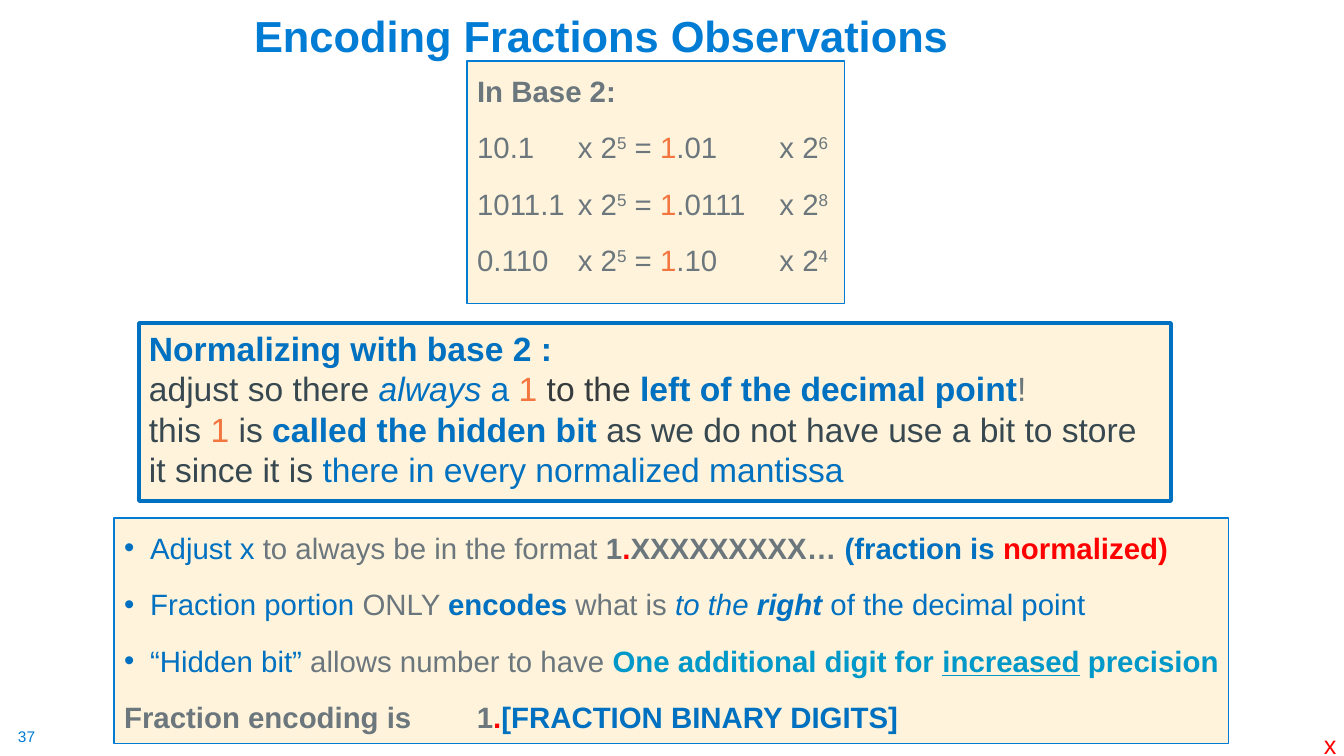
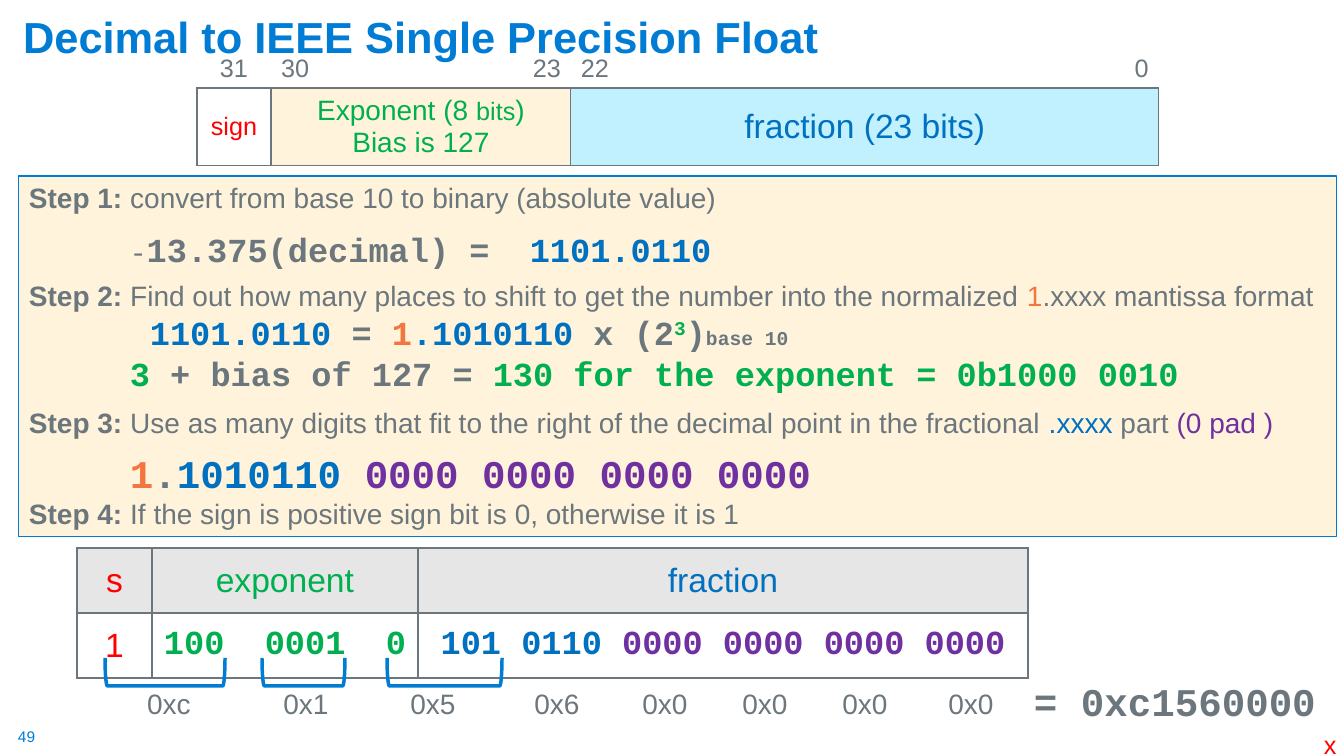
from lxml.etree import SubElement
from pptx import Presentation
from pptx.dml.color import RGBColor
from pptx.enum.shapes import MSO_SHAPE as SHAPE
from pptx.enum.text import MSO_ANCHOR as ANCHOR, MSO_AUTO_SIZE as AUTO, PP_ALIGN as ALIGN
from pptx.oxml import parse_xml
from pptx.oxml.ns import nsdecls, qn
from pptx.util import Emu, Pt

PX = 914400 / 100.8
COLORS = {
    "brand": "007CD5", "blue": "0070C0", "teal": "0098C9", "grey": "6B767D",
    "slate": "384851", "ink": "363B3E", "orange": "F3753F", "red": "FF0000",
    "green": "00B050", "purple": "7030A0",
    "cream": "FFF4DB", "silver": "E7E6E6", "sky": "C1F0FF",
}
RGB = {name: RGBColor.from_string(value) for name, value in COLORS.items()}


def px(*lengths):
    return [Emu(round(length * PX)) for length in lengths]


def write(frame, spans, size, align=ALIGN.LEFT, spacing=1.0, before=0,
          left=0, hang=0, tabs=()):
    """Add one paragraph; a span is (text, look, own size), and a look lists
    a colour and any of b, i, u, sup and mono. A hang gives a bullet."""
    para = frame.add_paragraph() if frame.text else frame.paragraphs[0]
    para.alignment = align
    para.line_spacing = spacing
    para.space_before = Pt(before)
    props = para._p.get_or_add_pPr()
    margin, indent = px(left, -hang)
    props.set("marL", str(margin))
    props.set("indent", str(indent))
    if hang:
        SubElement(props, qn("a:buFont"), typeface="Arial")
        SubElement(props, qn("a:buChar"), char="•")
    else:
        SubElement(props, qn("a:buNone"))
    if tabs:
        stops = SubElement(props, qn("a:tabLst"))
        for stop in px(*tabs):
            SubElement(stops, qn("a:tab"), pos=str(stop), algn="l")
    for text, look, *own_size in spans:
        color, *marks = look.split()
        span = para.add_run()
        span.text = text
        font = span.font
        font.name = "Courier New" if "mono" in marks else "Arial"
        font.size = Pt(own_size[0] if own_size else size)
        font.color.rgb = RGB[color]
        font.bold = "b" in marks
        font.italic = "i" in marks
        font.underline = "u" in marks
        if "sup" in marks:
            span._r.get_or_add_rPr().set("baseline", "30000")


def label(page, left, top, width, height, text, look, size, align=ALIGN.LEFT):
    frame = page.shapes.add_textbox(*px(left, top, width, height)).text_frame
    frame.word_wrap = True
    frame.margin_left = frame.margin_right = frame.margin_top = frame.margin_bottom = 0
    write(frame, [(text, look)], size, align)


deck = Presentation()
deck.slide_width, deck.slide_height = px(1344, 756)
observations = deck.slides.add_slide(deck.slide_layouts.get_by_name("Two Content"))
conversion = deck.slides.add_slide(deck.slide_layouts.get_by_name("Title Only"))

# Title, page number and corner mark
for page, title, number, area in (
    (observations, "Encoding Fractions Observations", "37", (244, 9, 731, 58)),
    (conversion, "Decimal to IEEE Single Precision Float", "49", (13, 18, 1141, 50)),
):
    box = page.shapes.title
    box.left, box.top, box.width, box.height = px(*area)
    box.text_frame.vertical_anchor = ANCHOR.BOTTOM
    box.text_frame.auto_size = AUTO.NONE
    write(box.text_frame, [(title, "brand b")], 31, spacing=0.9)
    label(page, 18, 727, 40, 19, number, "brand", 11)
    label(page, 1324, 729, 20, 27, "x", "red", 18)

# Cream panels
base_two, rules = list(observations.placeholders)[1:]
normalizing = observations.shapes.add_shape(SHAPE.RECTANGLE, *px(139, 323, 1032, 178))
steps = conversion.shapes.add_shape(SHAPE.RECTANGLE, *px(19, 176, 1318, 361))
base_two.left, base_two.top, base_two.width, base_two.height = px(467, 61, 378, 243)
rules.left, rules.top, rules.width, rules.height = px(114, 518, 1115, 226)
for panel, edge, weight in (
    (base_two, "brand", 0.75), (normalizing, "blue", 2.75),
    (rules, "brand", 0.75), (steps, "brand", 0.75),
):
    panel.shadow.inherit = False
    panel.fill.solid()
    panel.fill.fore_color.rgb = RGB["cream"]
    panel.line.color.rgb = RGB[edge]
    panel.line.width = Pt(weight)
    panel.text_frame.word_wrap = True
    panel.text_frame.auto_size = AUTO.NONE
    panel.text_frame.vertical_anchor = ANCHOR.TOP

# Slide 1: normalized numbers in base 2; short fractions pass one more stop
write(base_two.text_frame, [("In Base 2:", "grey b")], 21, spacing=1.2)
for number, fraction, exponent in (
    ("10.1", ".01\t\t", "6"), ("1011.1", ".0111\t", "8"), ("0.110", ".10\t\t", "4"),
):
    write(base_two.text_frame, [
        (f"{number}\tx 2", "grey"), ("5", "grey sup"), (" = ", "grey"),
        ("1", "orange"), (f"{fraction}x 2", "grey"), (exponent, "grey sup"),
    ], 21, spacing=1.2, before=10, tabs=(101, 252, 302))

for spans in (
    [("Normalizing with base 2 :", "blue b")],
    [("adjust so there ", "slate"), ("always", "blue i"), (" a ", "blue"),
     ("1 ", "orange"), ("to the ", "ink"), ("left of the decimal point", "blue b"),
     ("!", "grey")],
    [("this ", "slate"), ("1 ", "orange"), ("is ", "slate"),
     ("called the hidden bit", "blue b"),
     (" as we do not have use a bit to store it since it is ", "slate"),
     ("there in every normalized mantissa", "blue")],
):
    write(normalizing.text_frame, spans, 24)

for row, spans in enumerate((
    [("Adjust x ", "blue"), ("to always be in the format ", "grey"), ("1", "grey b"),
     (".", "red b"), ("XXXXXXXXX… ", "grey b"), ("(fraction is ", "blue b"),
     ("normalized)", "red b")],
    [("Fraction portion ", "blue"), ("ONLY ", "grey"), ("encodes", "blue b"),
     (" what is ", "grey"), ("to the", "blue i"), (" right ", "blue b i"),
     ("of the decimal point", "blue")],
    [("“Hidden bit” ", "blue"), ("allows number to have ", "grey"),
     ("One additional digit for ", "teal b"), ("increased", "teal b u"),
     (" precision", "teal b")],
)):
    write(rules.text_frame, spans, 21, spacing=1.2, before=10 if row else 0,
          left=26, hang=26)
write(rules.text_frame, [
    ("Fraction encoding is\t\t1", "grey b"), (".", "red b"),
    ("[FRACTION BINARY DIGITS]", "blue b"),
], 21, spacing=1.2, before=10, tabs=(302, 353))

# Slide 2: conversion steps, as (space before, left indent, spans)
for before, left, spans in (
    (0, 0, [("Step 1: ", "grey b"),
            ("convert from base 10 to binary (absolute value)", "grey")]),
    (10, 101, [("-", "grey mono", 20), ("13.375(decimal) =  ", "grey b mono", 24),
               ("1101.0110", "blue b mono", 24)]),
    (7, 0, [("Step 2: ", "grey b"),
            ("Find out how many places to shift to get the number into the normalized ",
             "grey"),
            ("1", "orange"), (".xxxx mantissa format", "grey")]),
    (0, 121, [("1101.0110 ", "blue b mono", 24), ("= ", "grey b mono", 24),
              ("1", "orange b mono", 24), (".1010110", "blue b mono", 24),
              (" x (2", "grey b mono", 24), ("3", "green b mono sup", 24),
              (")", "grey b mono", 24), ("base 10", "grey b mono", 14)]),
    (0, 101, [("3", "green b mono", 24), (" + bias of 127 = ", "grey b mono", 24),
              ("130 for the exponent = 0b1000 0010", "green b mono", 24)]),
    (9, 0, [("Step 3: ", "grey b"),
            ("Use as many digits that fit to the right of the decimal point "
             "in the fractional ", "grey"),
            (".xxxx ", "blue"), ("part ", "grey"), ("(0 pad )", "purple")]),
    (7, 101, [("1", "orange b mono", 28), (".", "grey b mono", 28),
              ("1010110 ", "blue b mono", 28),
              ("0000 0000 0000 0000", "purple b mono", 28)]),
    (0, 0, [("Step 4: ", "grey b"),
            ("If the sign is positive sign bit is 0, otherwise it is 1", "grey")]),
):
    write(steps.text_frame, spans, 20, before=before, left=left)

# Slide 2: tables of the result and of the bit layout
tables = []
for left, top, widths, heights in (
    (77, 548, (75, 266, 610), (65, 65)),
    (197, 47, (74, 99, 109, 92, 113) + (95,) * 5, (41, 77)),
):
    table = conversion.shapes.add_table(
        len(heights), len(widths), *px(left, top, sum(widths), sum(heights))).table
    table.first_row = table.horz_banding = False
    for column, width in zip(table.columns, px(*widths)):
        column.width = width
    for row, height in zip(table.rows, px(*heights)):
        row.height = height
    tables.append(table)
result, layout = tables

for row, contents in enumerate((
    ([("s", "red")], [("exponent", "green")], [("fraction", "blue")]),
    ([("1", "red")], [("100  0001  0", "green b mono")],
     [("101 0110 ", "blue b mono"), ("0000 0000 0000 0000", "purple b mono")]),
)):
    for column, spans in enumerate(contents):
        cell = result.cell(row, column)
        cell.margin_left, cell.margin_right, cell.margin_top, cell.margin_bottom = px(8, 8, 4, 4)
        write(cell.text_frame, spans, 24, ALIGN.CENTER)

for column, bit, align in (
    (0, "31", ALIGN.CENTER), (1, "30", ALIGN.LEFT), (3, "23", ALIGN.RIGHT),
    (4, "22", ALIGN.LEFT), (9, "0", ALIGN.RIGHT),
):
    write(layout.cell(0, column).text_frame, [(bit, "grey")], 18, align)
layout.cell(1, 1).merge(layout.cell(1, 3))
layout.cell(1, 4).merge(layout.cell(1, 9))
for column, size, spans in (
    (0, 18, [("sign", "red")]),
    (1, 20, [("Exponent (8 ", "green"), ("bits", "green", 18), (")", "green")]),
    (1, 20, [("Bias is 127", "green")]),
    (4, 24, [("fraction (23 bits)", "blue")]),
):
    write(layout.cell(1, column).text_frame, spans, size, ALIGN.CENTER)

# Fill, anchor and visible borders of each table row
grey_line = f'<a:solidFill><a:srgbClr val="{COLORS["grey"]}"/></a:solidFill>'
for table, row, fills, anchor, visible in (
    (result, 0, ["silver"] * 3, ANCHOR.MIDDLE, "LRTB"),
    (result, 1, [None] * 3, ANCHOR.MIDDLE, "LRTB"),
    (layout, 0, [None] * 10, ANCHOR.BOTTOM, "B"),
    (layout, 1, [None] + ["cream"] * 3 + ["sky"] * 6, ANCHOR.MIDDLE, "LRTB"),
):
    for column, fill in enumerate(fills):
        cell = table.cell(row, column)
        cell.vertical_anchor = anchor
        if fill:
            cell.fill.solid()
            cell.fill.fore_color.rgb = RGB[fill]
        else:
            cell.fill.background()
        for position, side in enumerate("LRTB"):
            paint = grey_line if side in visible else "<a:noFill/>"
            cell._tc.get_or_add_tcPr().insert(position, parse_xml(
                f'<a:ln{side} {nsdecls("a")} w="12700">{paint}</a:ln{side}>'))

# Slide 2: hex digits below the result
for start, end in ((105, 225), (262, 345), (387, 502)):
    length = end - start
    bracket = conversion.shapes.add_shape(
        SHAPE.RIGHT_BRACKET,
        *px((start + end) / 2 - 14, 672 - length / 2, 28, length))
    bracket.rotation = 90
    bracket.shadow.inherit = False
    bracket.fill.background()
    bracket.line.color.rgb = RGB["brand"]
    bracket.line.width = Pt(2.5)
for center, digit in zip((169, 306, 433, 557, 665, 765, 865, 971), "c1560000"):
    label(conversion, center - 40, 686, 80, 34, f"0x{digit}", "grey", 20, ALIGN.CENTER)
label(conversion, 1034, 677, 300, 47, "= 0xc1560000", "grey b mono", 28)

deck.save("out.pptx")
